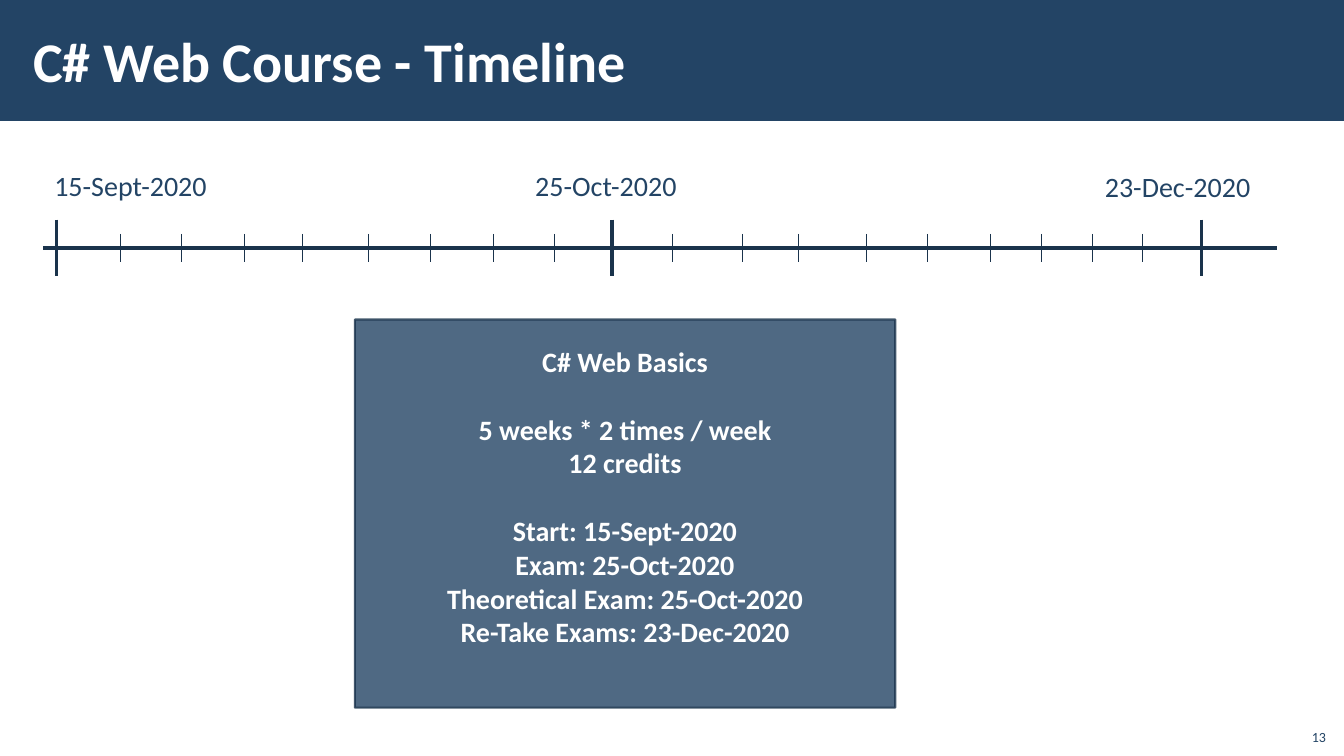
import lxml.etree
import pptx
import pptx.dml.color
import pptx.enum.shapes
import pptx.enum.text
import pptx.oxml.ns
import pptx.util

PX = 9144  # EMU per px, 100 px to the inch
NAVY = pptx.dml.color.RGBColor(0x23, 0x44, 0x65)
DARK = pptx.dml.color.RGBColor(0x1A, 0x33, 0x4C)
WHITE = pptx.dml.color.RGBColor(0xFF, 0xFF, 0xFF)
ALIGN = pptx.enum.text.PP_ALIGN
ANCHOR = pptx.enum.text.MSO_ANCHOR
RECTANGLE = pptx.enum.shapes.MSO_SHAPE.RECTANGLE
STRAIGHT = pptx.enum.shapes.MSO_CONNECTOR.STRAIGHT
qn = pptx.oxml.ns.qn

deck = pptx.Presentation()
deck.slide_width, deck.slide_height = 1333 * PX, 750 * PX
page = deck.slides.add_slide(deck.slide_layouts[6])


def write(box, text, size=20, color=NAVY, bold=False, align=ALIGN.LEFT,
          anchor=ANCHOR.TOP, wrap=True, insets=(10, 5, 10, 5), group_gap=0):
    """Fill a box with lines; a blank line starts a group set off by group_gap points."""
    frame = box.text_frame
    frame.word_wrap = wrap
    frame.vertical_anchor = anchor
    (frame.margin_left, frame.margin_top,
     frame.margin_right, frame.margin_bottom) = [inset * PX for inset in insets]
    para = frame.paragraphs[0]
    for group_index, group in enumerate(text.split("\n\n")):
        for line_index, line in enumerate(group.split("\n")):
            if group_index or line_index:
                para = frame.add_paragraph()
            if group_index and not line_index:
                para.space_before = pptx.util.Pt(group_gap)
            para.alignment = align
            span = para.add_run()
            span.text = line
            span.font.name = "Calibri"
            span.font.size = pptx.util.Pt(size)
            span.font.bold = bold
            span.font.color.rgb = color


def draw_line(left, top, right, bottom, width):
    line = page.shapes.add_connector(
        STRAIGHT, left * PX, top * PX, right * PX, bottom * PX)
    line.line.color.rgb = DARK
    line.line.width = pptx.util.Pt(width)
    lxml.etree.SubElement(line._element.spPr, qn("a:effectLst"))


# Title band
band = page.shapes.add_shape(RECTANGLE, 0, 0, 1333 * PX, 120 * PX)
band.shadow.inherit = False
band.fill.solid()
band.fill.fore_color.rgb = NAVY
band.line.fill.background()
title = page.shapes.add_textbox(21 * PX, 11 * PX, 1063 * PX, 97 * PX)
write(title, "C# Web Course - Timeline", size=40, color=WHITE, bold=True,
      anchor=ANCHOR.MIDDLE, insets=(12, 4, 12, 4))

# Course card
card = page.shapes.add_shape(RECTANGLE, 352 * PX, 317 * PX, 536 * PX, 385 * PX)
card.shadow.inherit = False
card.fill.solid()
card.fill.fore_color.rgb = NAVY
card.line.color.rgb = DARK
card.line.width = pptx.util.Pt(1.5)
for color_node in card._element.spPr.iter(qn("a:srgbClr")):
    lxml.etree.SubElement(color_node, qn("a:alpha"), val="80000")
write(card, """C# Web Basics

5 weeks * 2 times / week
12 credits

Start: 15-Sept-2020
Exam: 25-Oct-2020
Theoretical Exam: 25-Oct-2020
Re-Take Exams: 23-Dec-2020""", color=WHITE, bold=True, align=ALIGN.CENTER,
      anchor=ANCHOR.MIDDLE, insets=(10, 5, 10, 39), group_gap=24.4)

# Timeline
AXIS = 246
draw_line(43, AXIS, 1267, AXIS, 2.25)
for milestone in (56, 607, 1192):
    draw_line(milestone, AXIS - 28, milestone, AXIS + 28, 2.25)
for week in (119, 180, 242, 300, 365, 427, 489, 550, 667, 736, 792,
             859, 920, 982, 1033, 1083, 1133):
    draw_line(week, AXIS - 14, week, AXIS + 14, 0.5)

for date, left, top, width in (("15-Sept-2020", 44, 162, 174),
                               ("25-Oct-2020", 521, 162, 163),
                               ("23-Dec-2020", 1086, 163, 166)):
    label = page.shapes.add_textbox(left * PX, top * PX, width * PX, 44 * PX)
    write(label, date, wrap=False)

number = page.shapes.add_textbox(1285 * PX, 712 * PX, 40 * PX, 32 * PX)
write(number, "13", size=10, align=ALIGN.RIGHT, anchor=ANCHOR.BOTTOM)

deck.save("out.pptx")
